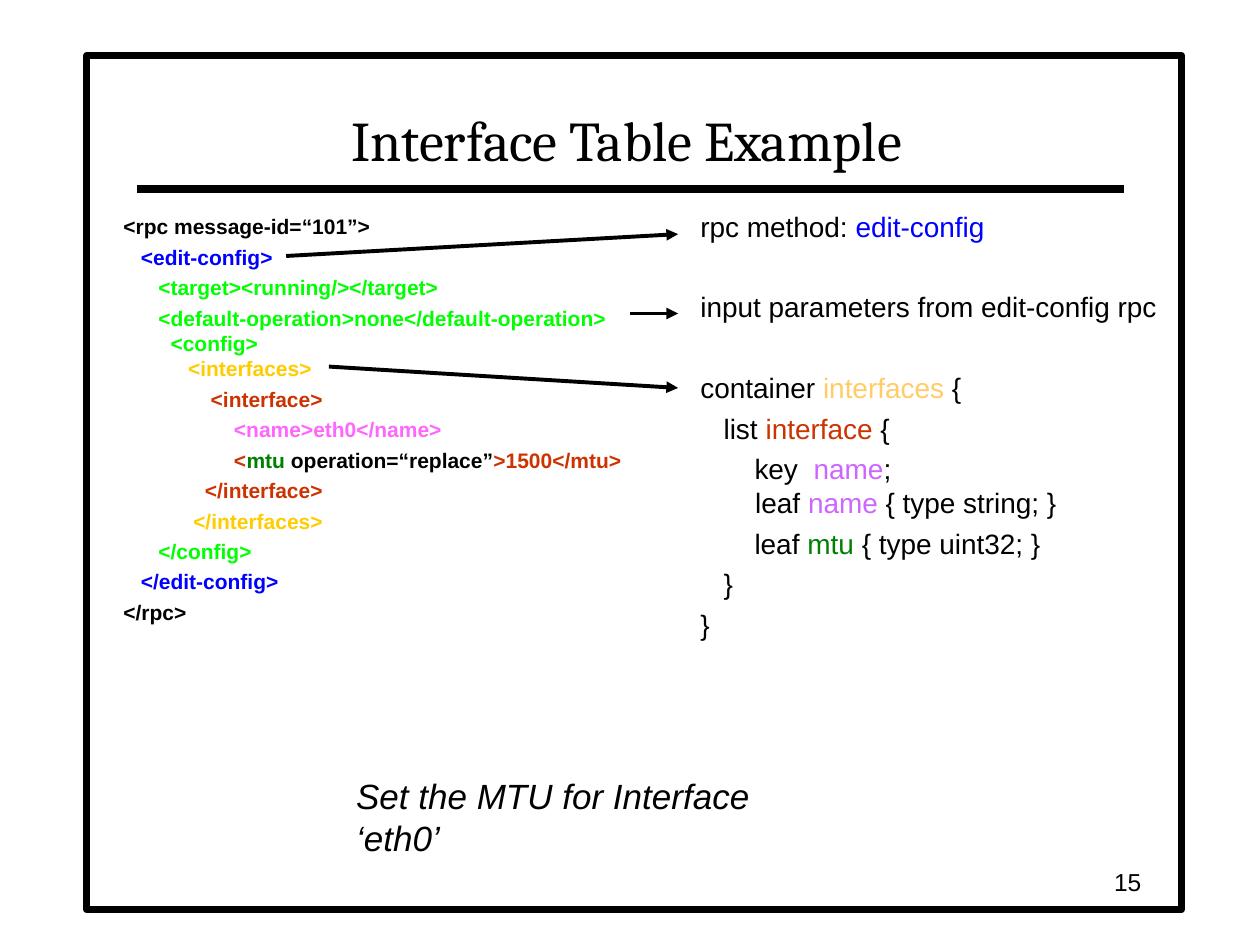
from lxml.etree import SubElement
from pptx import Presentation
from pptx.dml.color import RGBColor
from pptx.enum.shapes import MSO_CONNECTOR, MSO_SHAPE
from pptx.enum.text import MSO_ANCHOR, PP_ALIGN
from pptx.oxml.ns import qn
from pptx.util import Cm, Pt

BLACK = RGBColor(0x00, 0x00, 0x00)
WHITE = RGBColor(0xFF, 0xFF, 0xFF)
BLUE = RGBColor(0x00, 0x00, 0xFF)
LIME = RGBColor(0x00, 0xFF, 0x00)
GREEN = RGBColor(0x00, 0x80, 0x00)
GOLD = RGBColor(0xFF, 0xCC, 0x00)
SAND = RGBColor(0xFF, 0xCC, 0x66)
RUST = RGBColor(0xCC, 0x33, 0x00)
PINK = RGBColor(0xFF, 0x66, 0xFF)
VIOLET = RGBColor(0xCC, 0x66, 0xFF)

HANGING = Cm(0.95)
SECTION_GAP = 27

REQUEST = [
    [("<rpc message-id=“101”>", BLACK)],
    [("   <edit-config>", BLUE)],
    [("      <target><running/></target>", LIME)],
    [("      <default-operation>none</default-operation>\n<config>\n", LIME),
     ("   <interfaces>", GOLD)],
    [("               <interface>", RUST)],
    [("                   <name>eth0</name>", PINK)],
    [("                   <", RUST), ("mtu ", GREEN),
     ("operation=“replace”", BLACK), (">1500</mtu>", RUST)],
    [("              </interface>", RUST)],
    [("            </interfaces>", GOLD)],
    [("      </config>", LIME)],
    [("   </edit-config>", BLUE)],
    [("</rpc>", BLACK)],
]

MODEL = [
    [("rpc method:", BLACK), (" edit-config", BLUE)],
    [("input parameters from edit-config rpc", BLACK)],
    [("container ", BLACK), ("interfaces", SAND), (" {", BLACK)],
    [("   list ", BLACK), ("interface ", RUST), ("{", BLACK)],
    [("       key  ", BLACK), ("name", VIOLET), (";\n leaf ", BLACK),
     ("name", VIOLET), (" { type string; }", BLACK)],
    [("       leaf ", BLACK), ("mtu", GREEN), (" { type uint32; }", BLACK)],
    [("   }", BLACK)],
    [("}", BLACK)],
]
MODEL_SECTIONS = (1, 2)

ARROWS = [
    (5.77, 5.16, 4.72),
    (12.7, 6.32, 6.32),
    (6.63, 7.39, 7.82),
]
ARROW_END = 13.67


def add_run(paragraph, text, color, size, font="Arial", bold=False, italic=False):
    for index, part in enumerate(text.split("\n")):
        if index:
            paragraph.add_line_break()
        if part:
            run = paragraph.add_run()
            run.text = part
            run.font.name = font
            run.font.size = Pt(size)
            run.font.bold = bold
            run.font.italic = italic
            run.font.color.rgb = color


def add_box(slide, left, top, width, height, anchor=MSO_ANCHOR.TOP, wrap=True):
    shape = slide.shapes.add_textbox(Cm(left), Cm(top), Cm(width), Cm(height))
    shape.text_frame.word_wrap = wrap
    shape.text_frame.vertical_anchor = anchor
    return shape.text_frame


def add_label(frame, text, size, align=PP_ALIGN.LEFT, **style):
    paragraph = frame.paragraphs[0]
    paragraph.alignment = align
    add_run(paragraph, text, BLACK, size, **style)


def add_listing(frame, lines, size, gap, sections=(), bold=False):
    for index, line in enumerate(lines):
        paragraph = frame.add_paragraph() if index else frame.paragraphs[0]
        properties = paragraph._p.get_or_add_pPr()
        properties.set("marL", str(HANGING))
        properties.set("indent", str(-HANGING))
        if index:
            paragraph.space_before = Pt(SECTION_GAP if index in sections else gap)
        for text, color in line:
            add_run(paragraph, text, color, size, bold=bold)


def add_line(slide, start, end, width, arrow=False):
    line = slide.shapes.add_connector(
        MSO_CONNECTOR.STRAIGHT, *(Cm(value) for value in start + end))
    line.line.color.rgb = BLACK
    line.line.width = Pt(width)
    if arrow:
        SubElement(line.line._get_or_add_ln(), qn("a:tailEnd"), type="triangle")
    SubElement(line._element.spPr, qn("a:effectLst"))


def add_frame(slide):
    shape = slide.shapes.add_shape(
        MSO_SHAPE.RECTANGLE, Cm(1.75), Cm(1.12), Cm(22.07), Cm(17.22))
    shape.shadow.inherit = False
    shape.fill.solid()
    shape.fill.fore_color.rgb = WHITE
    shape.line.color.rgb = BLACK
    shape.line.width = Pt(4)


def main():
    presentation = Presentation()
    presentation.slide_width = Cm(25.4)
    presentation.slide_height = Cm(19.05)
    slide = presentation.slides.add_slide(presentation.slide_layouts[6])

    add_frame(slide)
    add_line(slide, (2.77, 3.81), (22.66, 3.81), 4.5)
    title = add_box(slide, 2.74, 1.27, 19.79, 2.34, MSO_ANCHOR.BOTTOM)
    add_label(title, "Interface Table Example", 32, PP_ALIGN.CENTER, font="Cambria")

    model = add_box(slide, 13.87, 4.09, 9.91, 13.13)
    add_listing(model, MODEL, 16, 4, MODEL_SECTIONS)
    request = add_box(slide, 2.24, 4.19, 12.9, 13.13)
    add_listing(request, REQUEST, 12, 3, bold=True)

    for left, top, end_top in ARROWS:
        add_line(slide, (left, top), (ARROW_END, end_top), 2.25, arrow=True)

    caption = add_box(slide, 6.93, 15.49, 10.31, 1.12, wrap=False)
    add_label(caption, "Set the MTU for Interface ‘eth0’", 20, italic=True)
    number = add_box(slide, 17.98, 17.35, 5.28, 0.84, MSO_ANCHOR.MIDDLE)
    add_label(number, "15", 14, PP_ALIGN.RIGHT)

    presentation.save("out.pptx")


if __name__ == "__main__":
    main()
